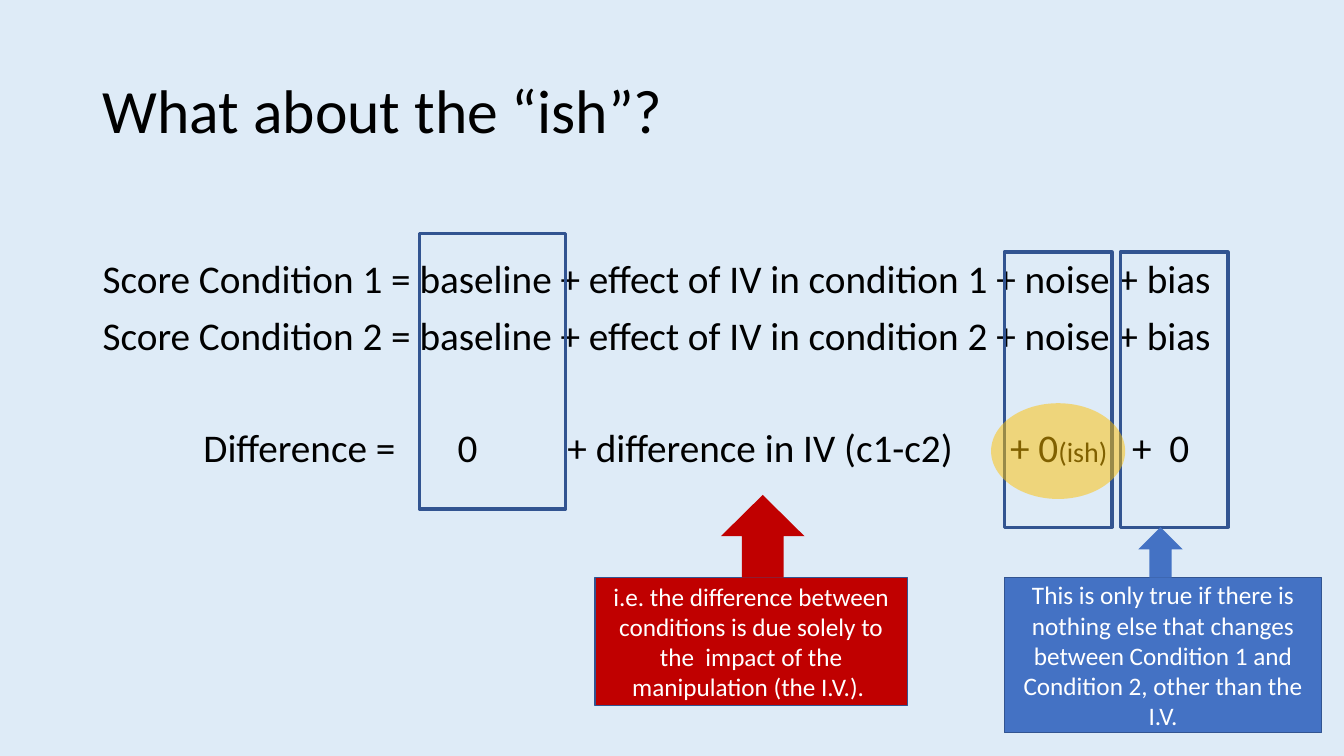
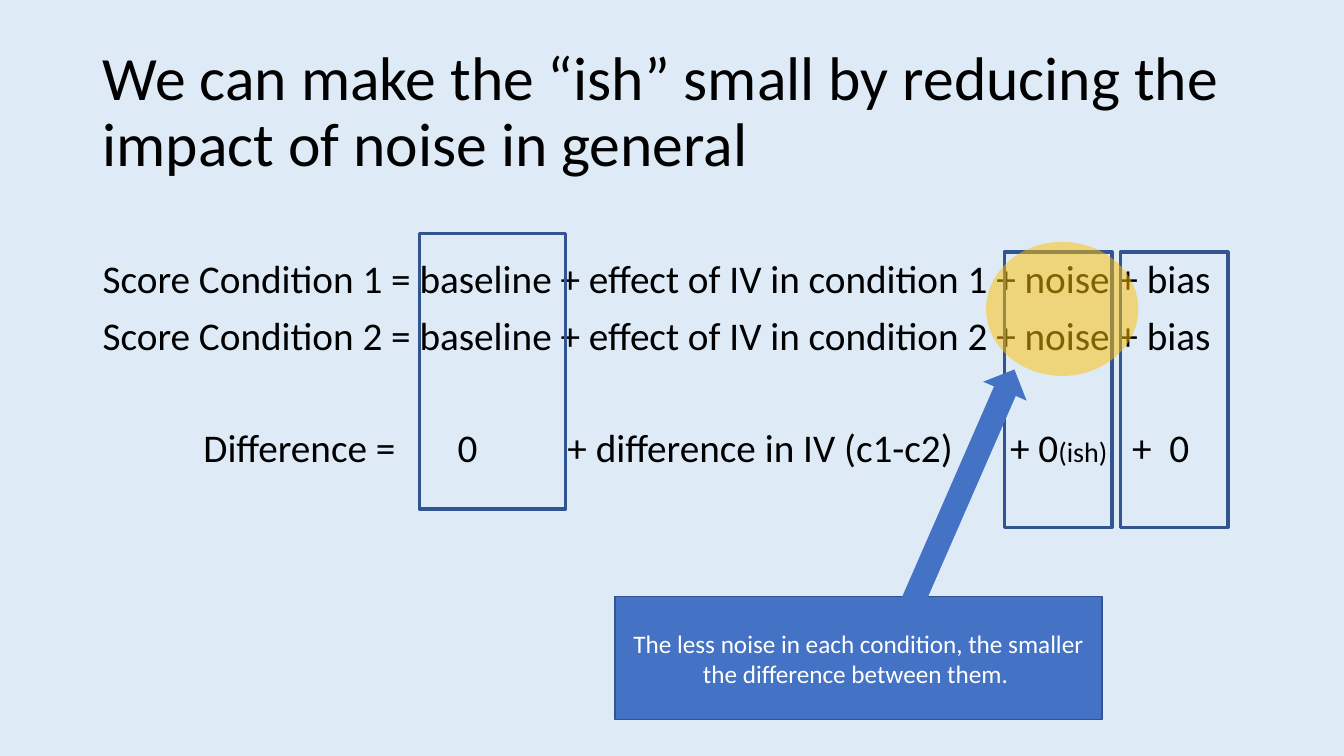
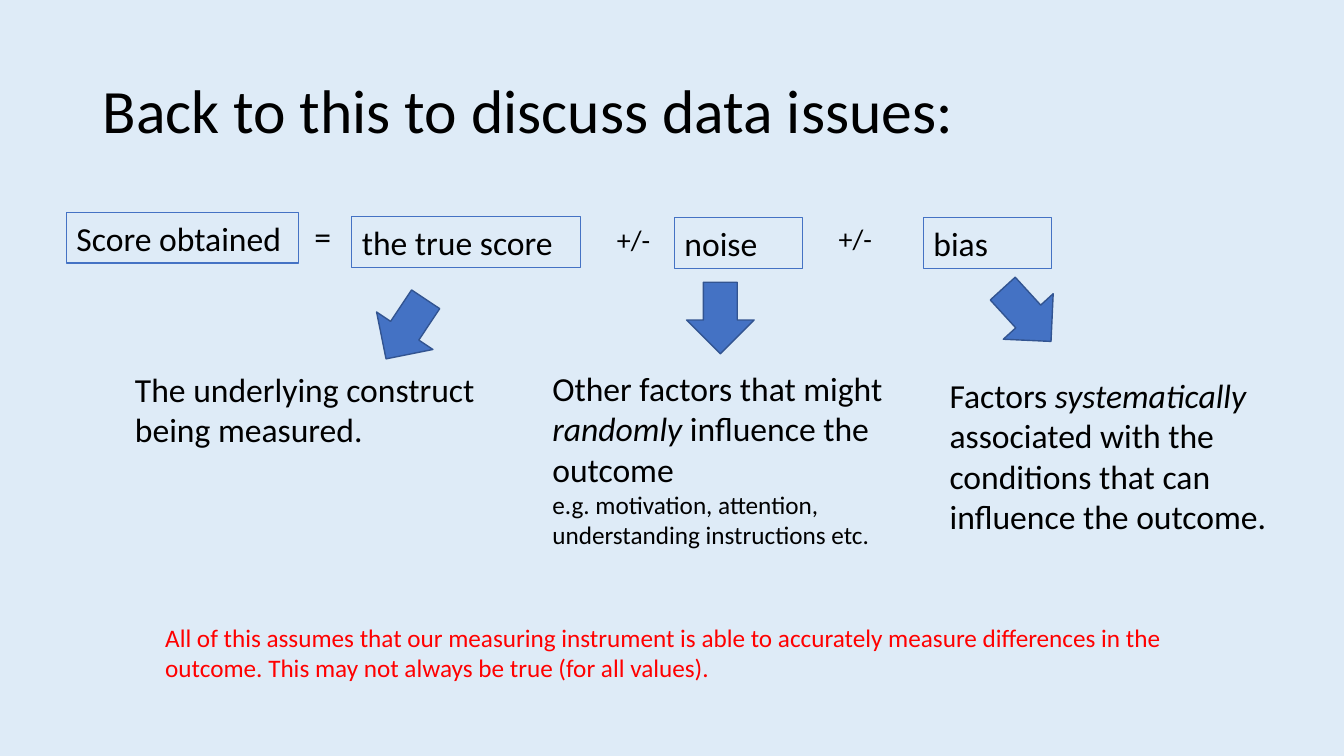
from pptx import Presentation
from pptx.dml.color import RGBColor
from pptx.enum.shapes import MSO_SHAPE
from pptx.enum.text import MSO_ANCHOR, PP_ALIGN
from pptx.oxml.ns import qn
from pptx.util import Inches, Pt
from lxml.etree import SubElement

COLORS = {
    "background": "DEEBF7",
    "text": "000000",
    "white": "FFFFFF",
    "blue": "4472C4",
    "outline": "325491",
    "red": "C00000",
    "warning": "FF0000",
    "gold": "FFC000",
}
FONT = "Calibri"
DIFFERENCE_TABS = (1, 3.52, 4.61, 9, 10.21)


def rgb(name):
    return RGBColor.from_string(COLORS[name])


def add_run(p, text, size=24, color="text", italic=False):
    r = p.add_run()
    r.text = text
    r.font.name = FONT
    r.font.size = Pt(size)
    r.font.italic = italic
    r.font.color.rgb = rgb(color)


def add_paragraph(tf, text, first=False, align=PP_ALIGN.LEFT, line=1, before=0, **fmt):
    """Add a paragraph; text is a string or a list of (string, run format)."""
    p = tf.paragraphs[0] if first else tf.add_paragraph()
    p.alignment = align
    p.line_spacing = line
    p.space_before = Pt(before)
    runs = [(text, {})] if isinstance(text, str) else text
    for part, extra in runs:
        add_run(p, part, **{**fmt, **extra})
    return p


def add_text(s, box, text, anchor=MSO_ANCHOR.TOP, **fmt):
    tf = s.shapes.add_textbox(*map(Inches, box)).text_frame
    tf.word_wrap = True
    tf.vertical_anchor = anchor
    add_paragraph(tf, text, first=True, **fmt)
    return tf


def add_shape(s, kind, box, fill=None, line=None, width=1, rotation=0, alpha=None):
    sp = s.shapes.add_shape(kind, *map(Inches, box))
    sp.shadow.inherit = False
    sp.rotation = rotation
    if fill:
        sp.fill.solid()
        sp.fill.fore_color.rgb = rgb(fill)
    else:
        sp.fill.background()
    if line:
        sp.line.color.rgb = rgb(line)
        sp.line.width = Pt(width)
    else:
        sp.line.fill.background()
    if alpha:
        color = sp.fill._xPr.find(qn("a:solidFill"))[0]
        SubElement(color, qn("a:alpha"), val=str(alpha * 1000))
    return sp


def add_callout(s, box, text, fill="blue"):
    sp = add_shape(s, MSO_SHAPE.RECTANGLE, box, fill=fill, line="outline")
    sp.text_frame.word_wrap = True
    sp.text_frame.vertical_anchor = MSO_ANCHOR.MIDDLE
    add_paragraph(sp.text_frame, text, first=True, align=PP_ALIGN.CENTER,
                  size=18, color="white")


def add_term(s, box, text):
    sp = add_shape(s, MSO_SHAPE.RECTANGLE, box, line="blue", width=0.75)
    sp.text_frame.word_wrap = True
    sp.text_frame.vertical_anchor = MSO_ANCHOR.TOP
    add_paragraph(sp.text_frame, text, first=True)


def add_highlight(s, box):
    add_shape(s, MSO_SHAPE.OVAL, box, fill="gold", alpha=50)


def set_tabs(p, stops):
    tabs = SubElement(p._p.get_or_add_pPr(), qn("a:tabLst"))
    for stop in stops:
        SubElement(tabs, qn("a:tab"), pos=str(Inches(stop)), algn="l")


def add_slide(prs, title):
    s = prs.slides.add_slide(prs.slide_layouts[6])
    add_text(s, (0.92, 0.4, 11.5, 1.45), title, anchor=MSO_ANCHOR.MIDDLE,
             size=44, line=0.9)
    return s


def add_equations(s):
    """Two score equations, their difference, and frames around the terms."""
    score = "Score Condition {0} = baseline + effect of IV in condition {0} + noise + bias"
    fmt = {"size": 28, "line": 0.9}
    tf = add_text(s, (0.92, 2.53, 11.5, 2.8), score.format(1), **fmt)
    add_paragraph(tf, score.format(2), before=10, **fmt)
    difference = [("\tDifference =\t0\t+ difference in IV (c1-c2)\t+ 0", {}),
                  ("(ish)", {"size": 20}), ("\t+  0", {})]
    set_tabs(add_paragraph(tf, difference, before=50, **fmt), DIFFERENCE_TABS)
    for left, top, width in ((11.11, 2.5, 1.07), (9.96, 2.5, 1.07), (4.16, 2.32, 1.45)):
        add_shape(s, MSO_SHAPE.RECTANGLE, (left, top, width, 2.73),
                  line="outline", width=2.25)


def build_ish(prs):
    s = add_slide(prs, "What about the “ish”?")
    add_equations(s)
    add_callout(s, (9.96, 5.73, 3.15, 1.54),
                "This is only true if there is nothing else that changes between "
                "Condition 1 and Condition 2, other than the I.V.")
    add_callout(s, (5.9, 5.73, 3.1, 1.27),
                "i.e. the difference between conditions is due solely to the  impact "
                "of the manipulation (the I.V.). ", fill="red")
    add_shape(s, MSO_SHAPE.UP_ARROW, (7.15, 4.91, 0.83, 0.82), fill="red")
    add_shape(s, MSO_SHAPE.UP_ARROW, (11.29, 5.23, 0.44, 0.5), fill="blue")
    add_highlight(s, (9.83, 4, 1.33, 0.95))


def build_noise(prs):
    s = add_slide(prs, "We can make the “ish” small by reducing the impact of noise in general")
    add_equations(s)
    add_highlight(s, (9.78, 2.4, 1.51, 1.33))
    add_callout(s, (6.1, 5.92, 4.83, 1.22),
                "The less noise in each condition, the smaller the difference between them. ")
    add_shape(s, MSO_SHAPE.UP_ARROW, (9.32, 3.56, 0.47, 2.53), fill="blue", rotation=23.6)


def build_data_issues(prs):
    s = add_slide(prs, "Back to this to discuss data issues:")
    for left, top, width, term in ((0.66, 2.11, 2.3, "Score obtained"),
                                   (3.49, 2.15, 2.27, "the true score"),
                                   (6.69, 2.16, 1.27, "noise"),
                                   (9.16, 2.16, 1.27, "bias")):
        add_term(s, (left, top, width, 0.5), term)
    add_text(s, (3.02, 2.09, 0.47, 0.5), "=")
    for left, top in ((6.02, 2.16), (8.22, 2.15)):
        add_text(s, (left, top, 0.67, 0.44), "+/-", size=20)
    for left, top, rotation in ((3.69, 2.91, 33.6), (6.81, 2.8, 0), (9.85, 2.77, 317.6)):
        add_shape(s, MSO_SHAPE.DOWN_ARROW, (left, top, 0.67, 0.71), fill="blue",
                  line="outline", rotation=rotation)

    add_text(s, (1.24, 3.61, 3.64, 0.91), "The underlying construct being measured.")
    noise = add_text(s, (5.38, 3.6, 4.29, 1.92),
                     [("Other factors that might ", {}), ("randomly", {"italic": True}),
                      (" influence the outcome", {})])
    add_paragraph(noise, "e.g. motivation, attention, understanding instructions etc.", size=18)
    add_text(s, (9.32, 3.67, 3.83, 1.72),
             [("Factors ", {}), ("systematically", {"italic": True}),
              (" associated with the conditions that can influence the outcome.", {})])
    add_text(s, (1.54, 6.12, 10.28, 0.71),
             "All of this assumes that our measuring instrument is able to accurately "
             "measure differences in the outcome. This may not always be true "
             "(for all values).", size=18, color="warning")


def main():
    prs = Presentation()
    prs.slide_width, prs.slide_height = Inches(13.33), Inches(7.5)
    fill = prs.slide_master.background.fill
    fill.solid()
    fill.fore_color.rgb = rgb("background")
    build_ish(prs)
    build_noise(prs)
    build_data_issues(prs)
    prs.save("out.pptx")


if __name__ == "__main__":
    main()
